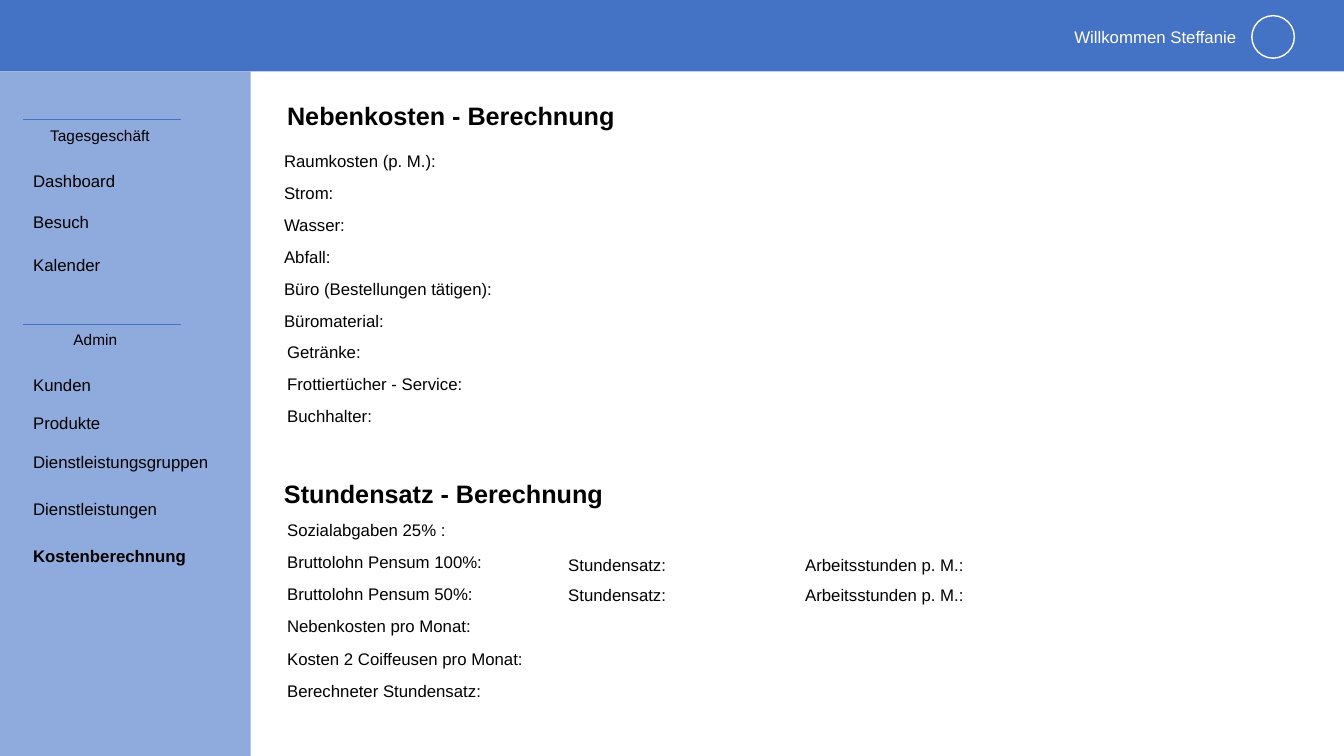
from collections import namedtuple

from lxml import etree
from pptx import Presentation
from pptx.dml.color import RGBColor
from pptx.enum.shapes import MSO_CONNECTOR, MSO_SHAPE
from pptx.enum.text import MSO_AUTO_SIZE
from pptx.oxml.ns import qn
from pptx.util import Pt

RECTANGLE = MSO_SHAPE.RECTANGLE
OVAL = MSO_SHAPE.OVAL
STRAIGHT = MSO_CONNECTOR.STRAIGHT
GROW = MSO_AUTO_SIZE.SHAPE_TO_FIT_TEXT

COLORS = {"header": "4472C4", "sidebar": "8FAADC", "text": "000000", "light": "FFFFFF"}
BODY = {"name": "Arial", "size": Pt(12), "bold": False}
CAPTION = {**BODY, "size": Pt(11)}
ACTIVE = {**BODY, "bold": True}
HEADING = {**ACTIVE, "size": Pt(18)}

Box = namedtuple("Box", "left top width height")

MENU = [
    ("Tagesgeschäft", 28.8, 34.6,
     [("Dashboard", 33.1), ("Besuch", 61.9), ("Kalender", 92.9)]),
    ("Admin", 45.4, 180.8,
     [("Kunden", 32.4), ("Produkte", 59.8), ("Dienstleistungsgruppen", 87.2),
      ("Dienstleistungen", 121), ("Kostenberechnung", 154.8)]),
]
ACTIVE_ITEM = "Kostenberechnung"
COSTS = ["Raumkosten (p. M.):", "Strom:", "Wasser:", "Abfall:",
         "Büro (Bestellungen tätigen):", "Büromaterial:", "Getränke:",
         "Frottiertücher - Service:", "Buchhalter:"]
FIRST_INDENTED_COST = COSTS.index("Getränke:")
RATES = ["Sozialabgaben 25% :", "Bruttolohn Pensum 100%:", "Bruttolohn Pensum 50%:",
         "Nebenkosten pro Monat:", "Kosten 2 Coiffeusen pro Monat:",
         "Berechneter Stundensatz:"]
RATE_COLUMNS = [("Stundensatz:", 203), ("Arbeitsstunden p. M.:", 372.2)]
RATE_COLUMN_TOPS = [57.6, 79.2]
INDENT = 2.2


def add_text(page, text, left, top, width, style=BODY, color="text"):
    """Place one line of text in a box that grows with it."""
    height = style["size"].pt * 1.2 + 7.2
    frame = page.shapes.add_textbox(Pt(left), Pt(top), Pt(width), Pt(height)).text_frame
    frame.word_wrap = True
    frame.auto_size = GROW
    span = frame.paragraphs[0].add_run()
    span.text = text
    for name, value in style.items():
        setattr(span.font, name, value)
    span.font.color.rgb = RGBColor.from_string(COLORS[color])


def add_panel(page, box, color):
    """Fill a box with a plain colour."""
    panel = page.shapes.add_shape(RECTANGLE, *map(Pt, box))
    panel.shadow.inherit = False
    panel.fill.solid()
    panel.fill.fore_color.rgb = RGBColor.from_string(COLORS[color])
    panel.line.fill.background()


def add_rule(page, left, top, width):
    """Draw a thin horizontal rule."""
    rule = page.shapes.add_connector(STRAIGHT, Pt(left), Pt(top), Pt(left + width), Pt(top))
    rule.line.color.rgb = RGBColor.from_string(COLORS["header"])
    rule.line.width = Pt(0.5)
    etree.SubElement(rule._element.spPr, qn("a:effectLst"))


def add_header(page, box):
    """Build the top bar with the greeting and the user circle."""
    add_panel(page, box, "header")
    right = box.left + box.width
    add_text(page, "Willkommen Steffanie", right - 199.7, box.top + 15.8, 144.7, color="light")
    circle = page.shapes.add_shape(
        OVAL, Pt(right - 65.8), Pt(box.top + 11.2), Pt(30.4), Pt(30.4))
    circle.shadow.inherit = False
    circle.fill.background()
    circle.line.color.rgb = RGBColor.from_string(COLORS["light"])
    circle.line.width = Pt(1)


def add_sidebar(page, box):
    """Build the navigation with its captioned groups."""
    add_panel(page, box, "sidebar")
    left = box.left + 16.6
    for caption, caption_left, offset, items in MENU:
        top = box.top + offset
        add_rule(page, left, top, 113)
        add_text(page, caption, box.left + caption_left, top + 0.7, 125.3, CAPTION)
        for item, drop in items:
            style = ACTIVE if item == ACTIVE_ITEM else BODY
            add_text(page, item, left, top + drop, 230.4, style)


def add_costs(page, box):
    """Build the list of overhead costs."""
    add_text(page, "Nebenkosten - Berechnung", box.left + INDENT, box.top, 319, HEADING)
    for index, label in enumerate(COSTS):
        indent = INDENT if index >= FIRST_INDENTED_COST else 0
        add_text(page, label, box.left + indent, box.top + 36 + index * 22.75, 167)


def add_rates(page, box):
    """Build the hourly rate list with its two extra columns."""
    add_text(page, "Stundensatz - Berechnung", box.left, box.top, 319, HEADING)
    for index, label in enumerate(RATES):
        add_text(page, label, box.left + INDENT, box.top + 29.5 + index * 22.9, 192.2)
    for top in RATE_COLUMN_TOPS:
        for label, offset in RATE_COLUMNS:
            add_text(page, label, box.left + offset, box.top + top - 3.6, 192.2)


def main():
    """Assemble the page and save the deck."""
    deck = Presentation()
    deck.slide_width, deck.slide_height = Pt(960), Pt(540)
    page = deck.slides.add_slide(deck.slide_layouts[6])
    add_header(page, Box(0, 0, 960, 51))
    add_sidebar(page, Box(0, 51, 179, 489))
    add_costs(page, Box(195.8, 68.4, 728, 246))
    add_rates(page, Box(195.8, 338.4, 728, 166))
    deck.save("out.pptx")


main()
